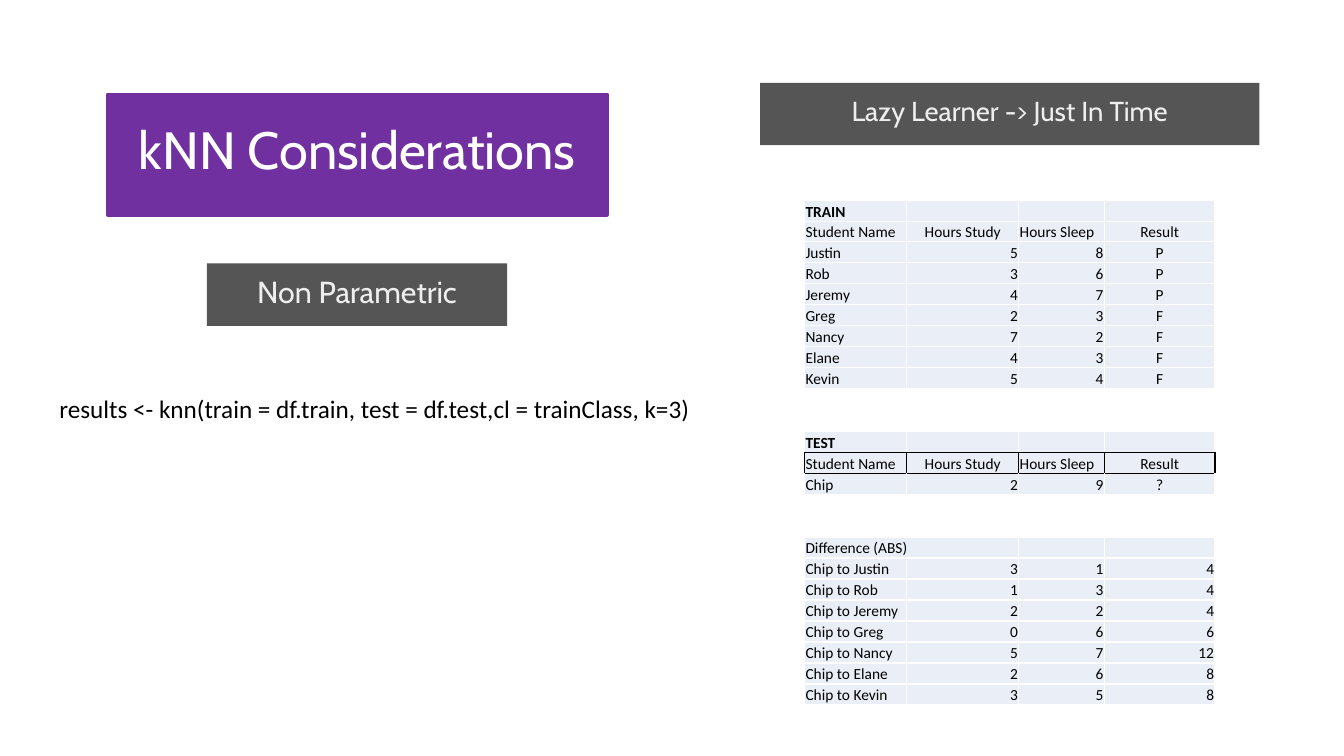
"""Build the kNN considerations slide with its train, test and difference tables."""
import lxml.etree
import pptx
import pptx.dml.color
import pptx.enum.shapes
import pptx.enum.text
import pptx.oxml.ns
import pptx.util

Pt = pptx.util.Pt
RGBColor = pptx.dml.color.RGBColor
ALIGN = pptx.enum.text.PP_ALIGN
MIDDLE = pptx.enum.text.MSO_ANCHOR.MIDDLE
BOTTOM = pptx.enum.text.MSO_ANCHOR.BOTTOM

WHITE = RGBColor(0xFF, 0xFF, 0xFF)
BLACK = RGBColor(0x00, 0x00, 0x00)
PURPLE = RGBColor(0x70, 0x30, 0xA0)
DARK_GRAY = RGBColor(0x55, 0x55, 0x55)
LIGHT_GRAY = RGBColor(0xEE, 0xEE, 0xEE)
PALE_BLUE = RGBColor(0xEA, 0xEF, 0xF7)

COLUMN_WIDTHS = [73, 80, 61.2, 79]
ROW_HEIGHT = 15
TABLE_LEFT = 574.7
HEADINGS = ["Student Name", "Hours Study", "Hours Sleep", "Result"]


def style_font(font, name, size, color, bold=False):
    font.name = name
    font.size = Pt(size)
    font.color.rgb = color
    font.bold = bold


def add_border(cell, side, color):
    properties = cell._tc.get_or_add_tcPr()
    line = lxml.etree.SubElement(properties, pptx.oxml.ns.qn("a:ln" + side), w=str(Pt(1)))
    fill = lxml.etree.SubElement(line, pptx.oxml.ns.qn("a:solidFill"))
    lxml.etree.SubElement(fill, pptx.oxml.ns.qn("a:srgbClr"), val=str(color))


deck = pptx.Presentation()
deck.slide_width = Pt(960)
deck.slide_height = Pt(540)
slide = deck.slides.add_slide(deck.slide_layouts[6])

banners = [
    ("kNN Considerations", 77, 67.5, 356.5, 86, 37.4, PURPLE, WHITE),
    ("Non Parametric", 147.7, 188.2, 214.5, 44.6, 21.7, DARK_GRAY, LIGHT_GRAY),
    ("Lazy Learner -> Just In Time", 543, 59.2, 356.5, 44.6, 19.6, DARK_GRAY, LIGHT_GRAY),
]
for text, left, top, width, height, size, fill_color, text_color in banners:
    banner = slide.shapes.add_shape(
        pptx.enum.shapes.MSO_SHAPE.RECTANGLE, Pt(left), Pt(top), Pt(width), Pt(height))
    banner.shadow.inherit = False
    banner.fill.solid()
    banner.fill.fore_color.rgb = fill_color
    if fill_color == PURPLE:
        banner.line.color.rgb = PURPLE
        banner.line.width = Pt(2.75)
    else:
        banner.line.fill.background()
    banner.text_frame.word_wrap = True
    banner.text_frame.vertical_anchor = MIDDLE
    para = banner.text_frame.paragraphs[0]
    para.text = text
    para.alignment = ALIGN.CENTER
    para.line_spacing = 0.8
    style_font(para.font, "Cabin", size, text_color)

code_box = slide.shapes.add_textbox(Pt(35.3), Pt(277.2), Pt(469.4), Pt(29))
code_box.text_frame.word_wrap = False
para = code_box.text_frame.paragraphs[0]
para.text = "results <- knn(train = df.train, test = df.test,cl = trainClass, k=3)"
style_font(para.font, "Calibri", 18, BLACK)

train_rows = [
    ["TRAIN", "", "", ""],
    HEADINGS,
    ["Justin", "5", "8", "P"],
    ["Rob", "3", "6", "P"],
    ["Jeremy", "4", "7", "P"],
    ["Greg", "2", "3", "F"],
    ["Nancy", "7", "2", "F"],
    ["Elane", "4", "3", "F"],
    ["Kevin", "5", "4", "F"],
]
test_rows = [
    ["TEST", "", "", ""],
    HEADINGS,
    ["Chip", "2", "9", "?"],
]
difference_rows = [
    ["Difference (ABS)", "", "", ""],
    ["Chip to Justin", "3", "1", "4"],
    ["Chip to Rob", "1", "3", "4"],
    ["Chip to Jeremy", "2", "2", "4"],
    ["Chip to Greg", "0", "6", "6"],
    ["Chip to Nancy", "5", "7", "12"],
    ["Chip to Elane", "2", "6", "8"],
    ["Chip to Kevin", "3", "5", "8"],
]

for top, rows in [(143.4, train_rows), (308.3, test_rows), (383.6, difference_rows)]:
    frame = slide.shapes.add_table(
        len(rows), len(COLUMN_WIDTHS), Pt(TABLE_LEFT), Pt(top),
        Pt(sum(COLUMN_WIDTHS)), Pt(ROW_HEIGHT * len(rows)))
    table = frame.table
    table.first_row = False
    table.horz_banding = False
    for column, width in zip(table.columns, COLUMN_WIDTHS):
        column.width = Pt(width)
    for row in table.rows:
        row.height = Pt(ROW_HEIGHT)
    if rows is train_rows:
        table.rows[1].height = Pt(14)

    for row_index, values in enumerate(rows):
        black_sides = ""
        if rows is test_rows:
            black_sides = ["B", "LRTB", "T"][row_index]
        for column_index, value in enumerate(values):
            cell = table.cell(row_index, column_index)
            for side in "LRTB":
                add_border(cell, side, BLACK if side in black_sides else WHITE)
            cell.fill.solid()
            cell.fill.fore_color.rgb = PALE_BLUE
            cell.margin_left = cell.margin_right = cell.margin_top = Pt(0.7)
            cell.margin_bottom = Pt(0)
            cell.vertical_anchor = BOTTOM
            para = cell.text_frame.paragraphs[0]
            para.text = value
            if value.isdigit():
                para.alignment = ALIGN.RIGHT
            elif column_index in (1, 3):
                para.alignment = ALIGN.CENTER
            else:
                para.alignment = ALIGN.LEFT
            style_font(para.font, "Calibri", 11, BLACK, bold=value in ("TRAIN", "TEST"))
    if rows is difference_rows:
        table.cell(0, 0).merge(table.cell(0, 1))

deck.save("out.pptx")
